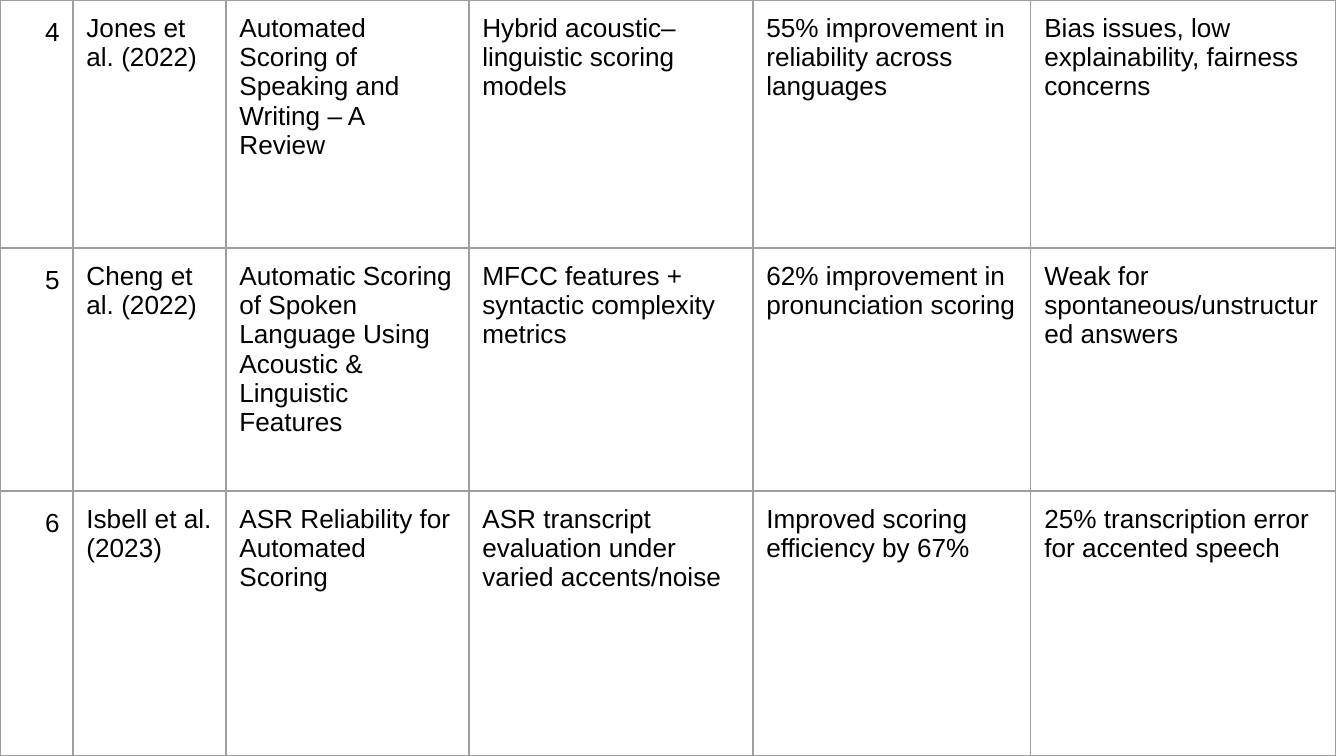
import dataclasses

import pptx
import pptx.dml.color
import pptx.enum.text
import pptx.oxml.ns
import pptx.util
from lxml import etree

EMU_PER_PX = 914400 / 134.4
COLUMN_WIDTHS = (73, 153, 243, 284, 278, 305)
ROW_HEIGHTS = (248, 243, 265)
STUDIES = (
    ("4", "Jones et al. (2022)",
     "Automated Scoring of Speaking and Writing – A Review",
     "Hybrid acoustic–linguistic scoring models",
     "55% improvement in reliability across languages",
     "Bias issues, low explainability, fairness concerns"),
    ("5", "Cheng et al. (2022)",
     "Automatic Scoring of Spoken Language Using Acoustic & Linguistic Features",
     "MFCC features + syntactic complexity metrics",
     "62% improvement in pronunciation scoring",
     "Weak for spontaneous/unstructured answers"),
    ("6", "Isbell et al. (2023)",
     "ASR Reliability for Automated Scoring",
     "ASR transcript evaluation under varied accents/noise",
     "Improved scoring efficiency by 67%",
     "25% transcription error for accented speech"),
)


@dataclasses.dataclass(frozen=True)
class Theme:
    font: str = "Arial"
    size: int = 14
    ink: str = "000000"
    rule: str = "9E9E9E"
    rule_width: float = 0.75
    inset: float = 0.1


THEME = Theme()


def px(length):
    return pptx.util.Emu(round(length * EMU_PER_PX))


def write(frame, text, align=pptx.enum.text.PP_ALIGN.LEFT, spacing=None):
    paragraph = frame.paragraphs[0]
    paragraph.alignment = align
    paragraph.line_spacing = spacing
    run = paragraph.add_run()
    run.text = text
    run.font.name = THEME.font
    run.font.size = pptx.util.Pt(THEME.size)
    run.font.color.rgb = pptx.dml.color.RGBColor.from_string(THEME.ink)


def rule_cell(cell):
    properties = cell._tc.get_or_add_tcPr()
    qn = pptx.oxml.ns.qn
    for side in ("a:lnL", "a:lnR", "a:lnT", "a:lnB"):
        line = etree.SubElement(properties, qn(side),
                                w=str(pptx.util.Pt(THEME.rule_width)))
        fill = etree.SubElement(line, qn("a:solidFill"))
        etree.SubElement(fill, qn("a:srgbClr"), val=THEME.rule)


def format_cell(cell):
    rule_cell(cell)
    cell.fill.background()
    inset = pptx.util.Inches(THEME.inset)
    cell.margin_left = cell.margin_right = inset
    cell.margin_top = cell.margin_bottom = inset


def add_study_table(slide):
    table = slide.shapes.add_table(
        len(ROW_HEIGHTS), len(COLUMN_WIDTHS), 0, 0,
        px(sum(COLUMN_WIDTHS)), px(sum(ROW_HEIGHTS))).table
    table.first_row = table.horz_banding = False
    for column, width in zip(table.columns, COLUMN_WIDTHS):
        column.width = px(width)
    for row, height, study in zip(table.rows, ROW_HEIGHTS, STUDIES):
        row.height = px(height)
        for index, (cell, text) in enumerate(zip(row.cells, study)):
            format_cell(cell)
            if index == 0:
                write(cell.text_frame, text, spacing=1.15,
                      align=pptx.enum.text.PP_ALIGN.RIGHT)
            else:
                write(cell.text_frame, text)


def main():
    """Build the literature survey slide and save it."""
    deck = pptx.Presentation()
    deck.slide_width, deck.slide_height = px(1344), px(756)
    slide = deck.slides.add_slide(deck.slide_layouts[6])
    add_study_table(slide)
    deck.save("out.pptx")


if __name__ == "__main__":
    main()
